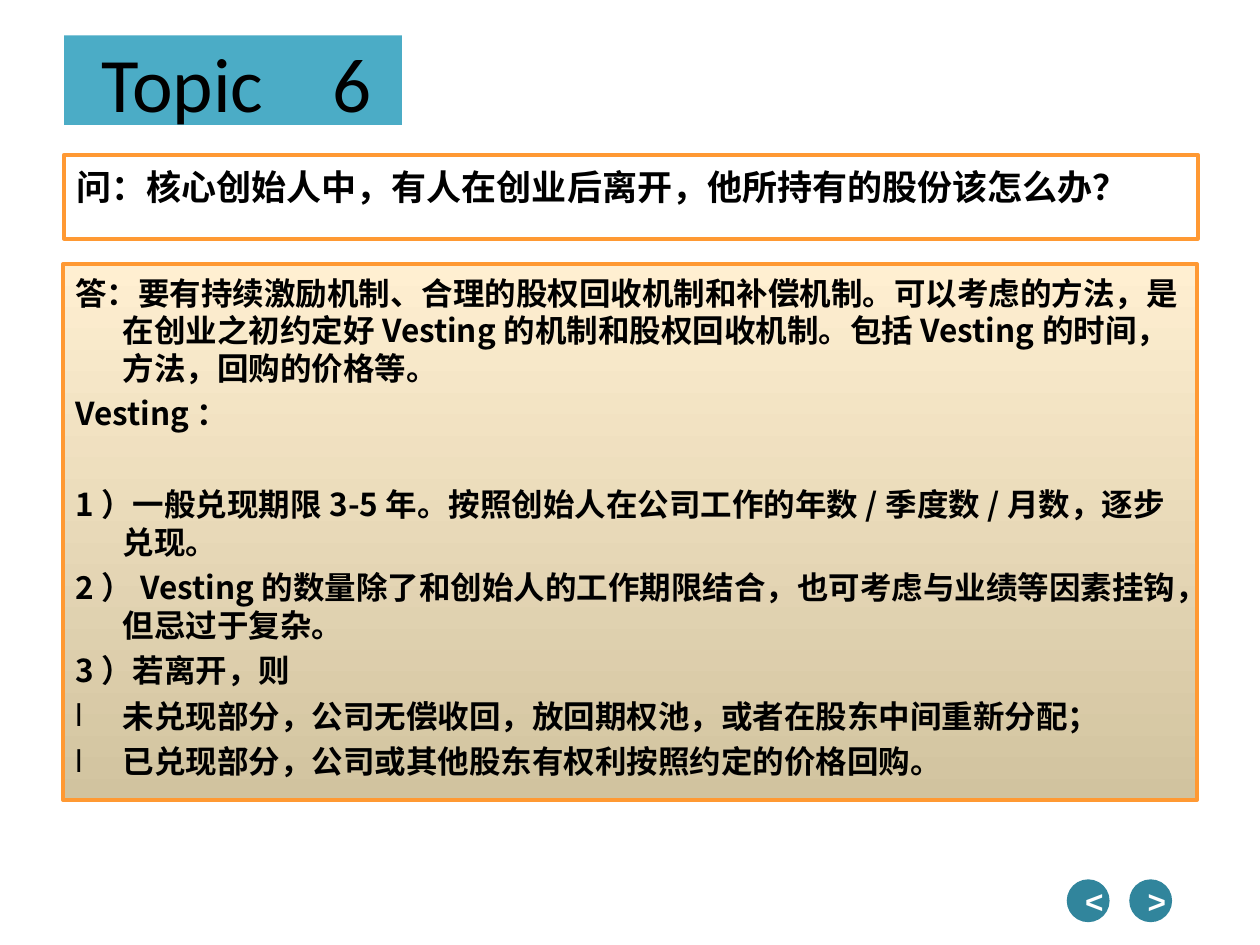
from dataclasses import dataclass

from lxml.etree import SubElement
from pptx import Presentation
from pptx.dml.color import RGBColor
from pptx.enum.shapes import MSO_SHAPE
from pptx.enum.text import MSO_ANCHOR, PP_ALIGN
from pptx.oxml.ns import qn
from pptx.util import Pt


@dataclass(frozen=True)
class Theme:
    black: str = "000000"
    white: str = "FFFFFF"
    title_fill: str = "4BACC6"
    border: str = "FF9933"
    answer_top: str = "FFEFD1"
    answer_bottom: str = "D1C39F"
    button: str = "31859C"
    title_font: str = "Calibri"
    answer_font: str = "Noto Sans CJK SC"
    button_font: str = "Arial"
    title_size: float = 44
    question_size: float = 20
    text_size: float = 18
    question_line: float = 26.5
    answer_line: float = 21.5
    paragraph_gap: float = 4.5
    hanging: float = 27


THEME = Theme()

QUESTION = "问：核心创始人中，有人在创业后离开，他所持有的股份该怎么办？"
ANSWER = [
    "答：要有持续激励机制、合理的股权回收机制和补偿机制。可以考虑的方法，是在创业之初"
    "约定好Vesting的机制和股权回收机制。包括Vesting的时间，方法，回购的价格等。",
    "Vesting：",
]
VESTING_RULES = [
    "1）一般兑现期限3-5年。按照创始人在公司工作的年数/季度数/月数，逐步兑现。",
    "2）Vesting的数量除了和创始人的工作期限结合，也可考虑与业绩等因素挂钩，但忌过于复杂。",
    "3）若离开，则",
]
LEAVING_CASES = [
    "未兑现部分，公司无偿收回，放回期权池，或者在股东中间重新分配；",
    "已兑现部分，公司或其他股东有权利按照约定的价格回购。",
]


def color(value):
    return RGBColor.from_string(value)


def add_box(page, kind, left, top, width, height, fill=None, border=None):
    box = page.shapes.add_shape(kind, Pt(left), Pt(top), Pt(width), Pt(height))
    box.shadow.inherit = False
    if fill:
        box.fill.solid()
        box.fill.fore_color.rgb = color(fill)
    else:
        box.fill.background()
    if border:
        box.line.color.rgb = color(border)
        box.line.width = Pt(2.25)
    else:
        box.line.fill.background()
    return box


def set_frame(box, anchor, left=7.2, top=3.6, right=7.2, wrap=True):
    frame = box.text_frame
    frame.word_wrap = wrap
    frame.vertical_anchor = anchor
    frame.margin_left, frame.margin_right = Pt(left), Pt(right)
    frame.margin_top, frame.margin_bottom = Pt(top), Pt(3.6)
    return frame


def add_span(para, text, font, size, ink, bold=True):
    span = para.add_run()
    span.text = text
    span.font.name = font
    span.font.size = Pt(size)
    span.font.bold = bold
    span.font.color.rgb = color(ink)
    SubElement(span.font._element, qn("a:ea"), typeface=font)


def set_hanging(para, line, before=0, bullet=None):
    para.alignment = PP_ALIGN.LEFT
    para.line_spacing = Pt(line)
    para.space_before = Pt(before)
    properties = para._p.get_or_add_pPr()
    properties.set("marL", str(Pt(THEME.hanging)))
    properties.set("indent", str(-Pt(THEME.hanging)))
    if bullet:
        ink = SubElement(properties, qn("a:buClr"))
        SubElement(ink, qn("a:srgbClr"), val=THEME.black)
        SubElement(properties, qn("a:buFont"), typeface=THEME.button_font)
        SubElement(properties, qn("a:buChar"), char=bullet)


def add_title(page):
    add_box(page, MSO_SHAPE.RECTANGLE, 36.7, 20.2, 193, 51.1, THEME.title_fill)
    box = page.shapes.add_textbox(Pt(31), Pt(9.4), Pt(209.5), Pt(74.2))
    para = set_frame(box, MSO_ANCHOR.MIDDLE, left=27).paragraphs[0]
    tabs = SubElement(para._p.get_or_add_pPr(), qn("a:tabLst"))
    SubElement(tabs, qn("a:tab"), pos=str(Pt(132)), algn="l")
    add_span(para, "Topic\t6", THEME.title_font, THEME.title_size, THEME.black, bold=False)


def add_question(page):
    box = add_box(page, MSO_SHAPE.RECTANGLE, 36.5, 88.5, 648, 47.9, border=THEME.border)
    para = set_frame(box, MSO_ANCHOR.TOP).paragraphs[0]
    set_hanging(para, THEME.question_line)
    add_span(para, QUESTION, THEME.title_font, THEME.question_size, THEME.black)


def add_answer(page):
    box = add_box(page, MSO_SHAPE.RECTANGLE, 36, 151, 648, 306.2, border=THEME.border)
    box.fill.gradient()
    box.fill.gradient_angle = 270
    for stop, shade in zip(box.fill.gradient_stops, (THEME.answer_top, THEME.answer_bottom)):
        stop.color.rgb = color(shade)
    frame = set_frame(box, MSO_ANCHOR.TOP, top=5.5)
    section_gap = THEME.answer_line + 2 * THEME.paragraph_gap
    for group, first_gap, bullet in (
        (ANSWER, 0, None),
        (VESTING_RULES, section_gap, None),
        (LEAVING_CASES, THEME.paragraph_gap, "l"),
    ):
        for index, text in enumerate(group):
            para = frame.paragraphs[0] if text == ANSWER[0] else frame.add_paragraph()
            before = THEME.paragraph_gap if index else first_gap
            set_hanging(para, THEME.answer_line, before, bullet)
            add_span(para, text, THEME.answer_font, THEME.text_size, THEME.black)


def add_button(page, left, sign):
    box = add_box(page, MSO_SHAPE.OVAL, left, 502.5, 24.5, 24.5, THEME.button)
    frame = set_frame(box, MSO_ANCHOR.MIDDLE, left=7, right=0, wrap=False)
    para = frame.paragraphs[0]
    para.alignment = PP_ALIGN.CENTER
    add_span(para, sign, THEME.button_font, THEME.text_size, THEME.white)


def main():
    deck = Presentation()
    deck.slide_width, deck.slide_height = Pt(720), Pt(540)
    page = deck.slides.add_slide(deck.slide_layouts[6])
    add_title(page)
    add_question(page)
    add_answer(page)
    for left, sign in ((609.6, "<"), (645.3, ">")):
        add_button(page, left, sign)
    deck.save("out.pptx")


if __name__ == "__main__":
    main()
